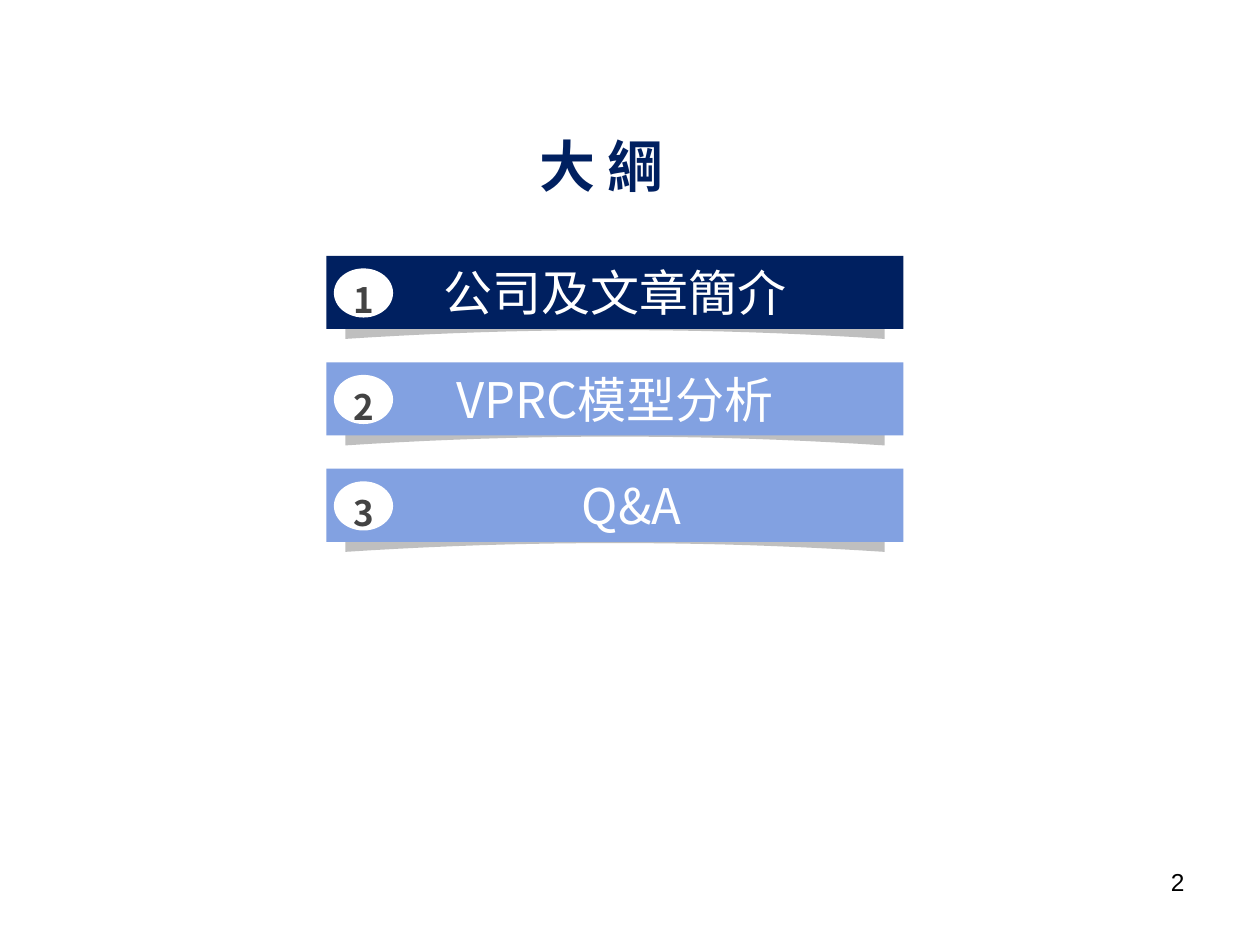
from pptx import Presentation
from pptx.enum import shapes, text
from pptx.oxml import ns
from pptx.dml.color import RGBColor
from pptx.util import Inches, Pt
from lxml import etree

HUE = {"navy": "002060", "blue": "82A1E1", "gray": "BFBFBF",
       "white": "FFFFFF", "dark": "434343", "black": "000000"}
SANS = "Noto Sans CJK SC"
KIND = shapes.MSO_SHAPE
ALIGN = text.PP_ALIGN
ANCHOR = text.MSO_ANCHOR


def paint(shape, hue):
    shape.fill.solid()
    shape.fill.fore_color.rgb = RGBColor.from_string(HUE[hue])
    shape.line.fill.background()
    shape.shadow.inherit = False


def write(frame, words, size, hue, bold=False, align=ALIGN.CENTER, face=SANS):
    para = frame.paragraphs[0]
    para.alignment = align
    run = para.add_run()
    run.text = words
    font = run.font
    font.size, font.bold, font.name = Pt(size), bold, face
    font.color.rgb = RGBColor.from_string(HUE[hue])
    # East Asian glyphs take their face from a:ea
    latin = font._element.find(ns.qn("a:latin"))
    east = etree.Element(ns.qn("a:ea"), typeface=face)
    latin.addnext(east)
    return para


def add_title(slide, left, top, width, height):
    title = slide.shapes.title
    title.left, title.top = Inches(left), Inches(top)
    title.width, title.height = Inches(width), Inches(height)
    frame = title.text_frame
    frame.auto_size = text.MSO_AUTO_SIZE.SHAPE_TO_FIT_TEXT
    frame.vertical_anchor = ANCHOR.TOP
    write(frame, "大 綱", 32, "navy", True)


def add_shadow(slide, left, top, width):
    """Strip with a peaked top and a curved lower edge."""
    half, steps = width / 2, 20
    mid = left + half
    spots = [(mid + half * t, top + 0.21 + 0.07 * t * t)
             for t in (1 - 2 * i / steps for i in range(steps + 1))]
    spots += [(left, top + 0.07), (mid, top), (left + width, top + 0.07)]
    spots = [(Inches(x), Inches(y)) for x, y in spots]
    pen = slide.shapes.build_freeform(*spots[0])
    pen.add_line_segments(spots[1:], close=True)
    paint(pen.convert_to_shape(), "gray")


def add_item(slide, left, top, width, height, mark, words, hue, inset):
    add_shadow(slide, left + 0.15, top + 0.38, width - 0.3)

    # Bar with the topic
    bar = slide.shapes.add_shape(KIND.RECTANGLE, Inches(left), Inches(top),
                                 Inches(width), Inches(height))
    paint(bar, hue)
    frame = bar.text_frame
    frame.margin_left = Inches(inset)
    frame.vertical_anchor = ANCHOR.MIDDLE
    write(frame, words, 28, "white")

    # Number badge
    badge = slide.shapes.add_shape(KIND.OVAL, Inches(left + 0.06), Inches(top + 0.1),
                                   Inches(0.47), Inches(0.39))
    paint(badge, "white")
    frame = badge.text_frame
    frame.margin_left = frame.margin_right = frame.margin_bottom = 0
    frame.margin_top = Inches(0.04)
    frame.vertical_anchor = ANCHOR.MIDDLE
    write(frame, mark, 20, "dark", True).line_spacing = 1.2


def add_list(slide, left, top, width, height):
    items = [("公司及文章簡介", "navy", 0.1),
             ("VPRC模型分析", "blue", 0.1),
             ("Q&A", "blue", 0.36)]
    bar = 0.58
    step = (height - bar) / (len(items) - 1)
    for i, (words, hue, inset) in enumerate(items):
        add_item(slide, left, top + i * step, width, bar, str(i + 1), words, hue, inset)


def add_number(slide, left, top, width, height):
    box = slide.shapes.add_textbox(Inches(left), Inches(top), Inches(width), Inches(height))
    box.text_frame.word_wrap = True
    write(box.text_frame, "2", 14, "black", align=ALIGN.RIGHT, face="Arial")


def main():
    deck = Presentation()
    deck.slide_width, deck.slide_height = Inches(10), Inches(7.5)
    slide = deck.slides.add_slide(deck.slide_layouts[5])
    add_title(slide, 3.67, 0.99, 2.21, 0.64)
    add_list(slide, 2.59, 2.03, 4.58, 2.27)
    add_number(slide, 7.17, 6.83, 2.33, 0.52)
    deck.save("out.pptx")


if __name__ == "__main__":
    main()
